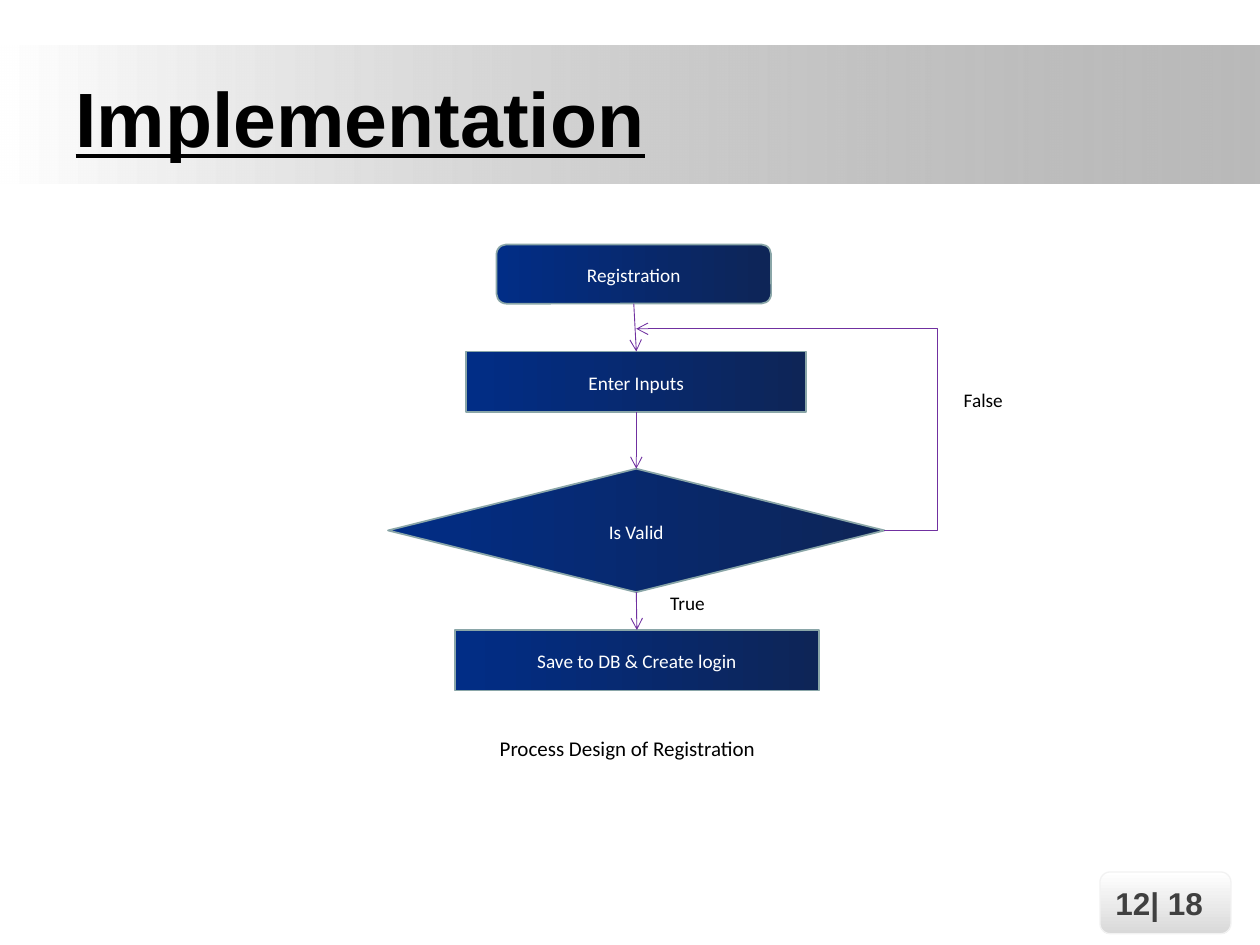
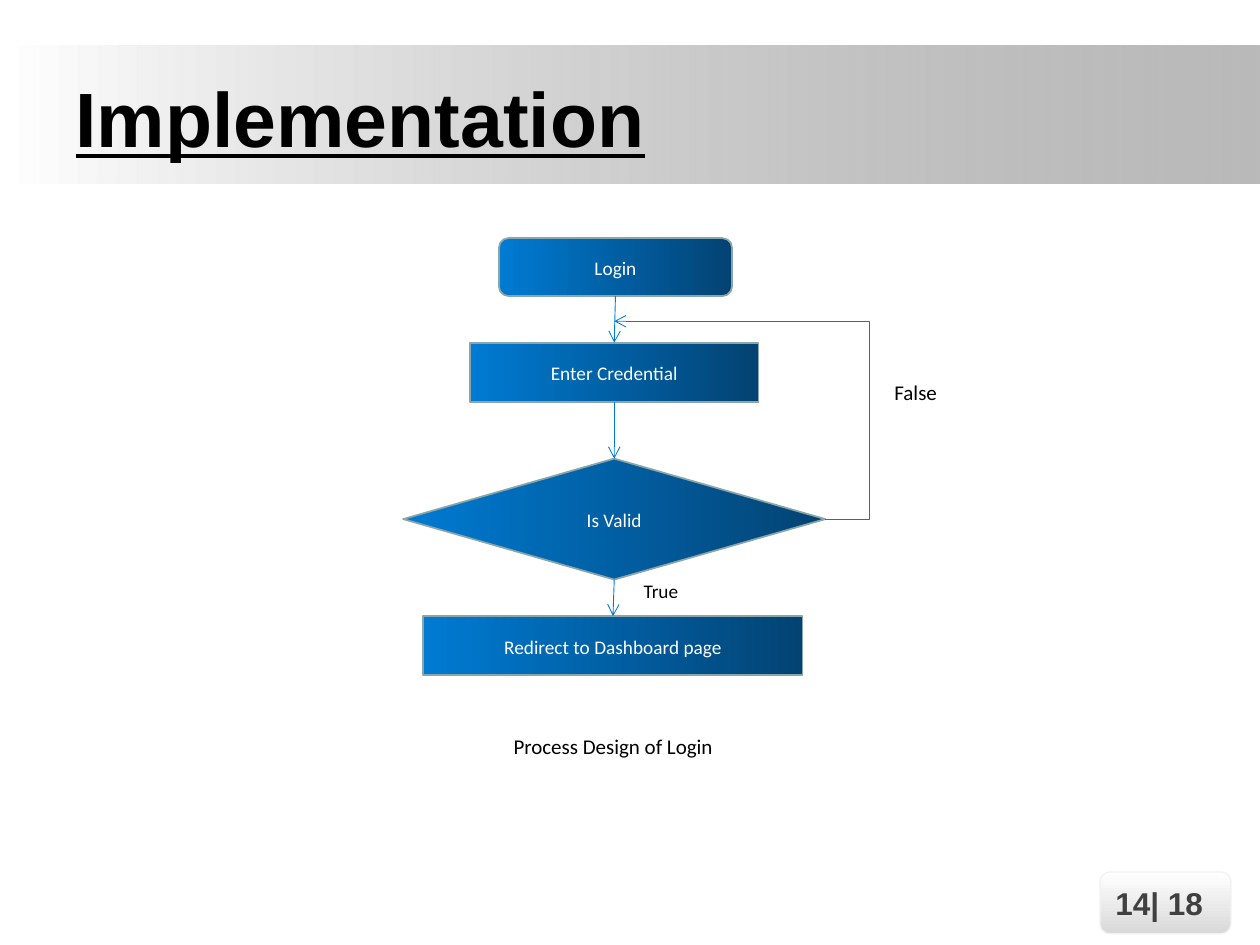
"""Builds two implementation slides, each with a flowchart of a validated form."""
from dataclasses import dataclass
from itertools import pairwise

from lxml.etree import SubElement
from pptx import Presentation
from pptx.dml.color import RGBColor
from pptx.enum.shapes import MSO_CONNECTOR, MSO_SHAPE
from pptx.enum.text import MSO_ANCHOR, MSO_AUTO_SIZE, PP_ALIGN
from pptx.oxml.ns import qn
from pptx.util import Inches, Pt

COLORS = {
    "white": "FFFFFF", "black": "000000", "band": "808080",
    "step_border": "8AA6A8",
    "badge_end": "D9D9D9", "badge_border": "F2F2F2", "badge_text": "404040",
    "navy_start": "012D86", "navy_end": "0E2557", "purple": "7030A0",
    "blue_start": "007BD3", "blue_end": "034373",
}
HEADING_FONT, FLOW_FONT = "Arial", "Calibri"
TOTAL_PAGES = 18
TOP, BOTTOM = 0, 2


@dataclass(frozen=True)
class Box:
    left: float
    top: float
    width: float
    height: float

    @property
    def inches(self) -> tuple:
        return tuple(Inches(v) for v in (self.left, self.top, self.width, self.height))


@dataclass(frozen=True)
class Step:
    text: str
    outline: MSO_SHAPE
    box: Box


@dataclass(frozen=True)
class Label:
    text: str
    box: Box
    size: int = 11


@dataclass(frozen=True)
class Flow:
    page: int
    start_color: str
    end_color: str
    arrow_color: str
    steps: tuple
    labels: tuple
    return_x: float
    return_y: float


FLOWS = (
    Flow(
        12, "navy_start", "navy_end", "purple",
        (
            Step("Registration", MSO_SHAPE.ROUNDED_RECTANGLE, Box(3.94, 1.94, 2.18, 0.47)),
            Step("Enter Inputs", MSO_SHAPE.RECTANGLE, Box(3.7, 2.79, 2.7, 0.48)),
            Step("Is Valid", MSO_SHAPE.DIAMOND, Box(3.08, 3.72, 3.94, 0.98)),
            Step("Save to DB & Create login", MSO_SHAPE.RECTANGLE, Box(3.61, 5, 2.89, 0.48)),
        ),
        (
            Label("True", Box(5.22, 4.63, 1.58, 0.37)),
            Label("False", Box(7.55, 3.02, 1.58, 0.37)),
            Label(" Process Design of Registration", Box(3.83, 5.77, 2.49, 0.34), 12),
        ),
        7.44, 2.61,
    ),
    Flow(
        14, "blue_start", "blue_end", "blue_start",
        (
            Step("Login", MSO_SHAPE.ROUNDED_RECTANGLE, Box(3.96, 1.89, 1.85, 0.46)),
            Step("Enter Credential", MSO_SHAPE.RECTANGLE, Box(3.73, 2.72, 2.29, 0.47)),
            Step("Is Valid", MSO_SHAPE.DIAMOND, Box(3.2, 3.64, 3.35, 0.96)),
            Step("Redirect to Dashboard page", MSO_SHAPE.RECTANGLE, Box(3.36, 4.89, 3.01, 0.47)),
        ),
        (
            Label("True", Box(5.01, 4.53, 1.34, 0.36)),
            Label("False", Box(7, 2.95, 1.34, 0.42), 12),
            Label(" Process Design of Login", Box(3.94, 5.76, 1.93, 0.3), 12),
        ),
        6.9, 2.55,
    ),
)


def rgb(name: str) -> RGBColor:
    return RGBColor.from_string(COLORS[name])


def write(shape, text: str, size: int, color: str, font: str = FLOW_FONT,
          align=PP_ALIGN.LEFT, anchor=MSO_ANCHOR.MIDDLE, bold: bool = False) -> None:
    frame = shape.text_frame
    frame.text = text
    frame.word_wrap = True
    frame.auto_size = MSO_AUTO_SIZE.NONE
    frame.vertical_anchor = anchor
    paragraph = frame.paragraphs[0]
    paragraph.alignment = align
    if font == FLOW_FONT:
        paragraph.line_spacing = 1.08
        paragraph.space_after = Pt(8)
    style = paragraph.runs[0].font
    style.name, style.size, style.bold = font, Pt(size), bold
    style.color.rgb = rgb(color)


def add_gradient_shape(slide, outline, box: Box, start: str, end: str, angle: int = 0,
                       border: str | None = None, border_width: float = 1):
    shape = slide.shapes.add_shape(outline, *box.inches)
    shape.shadow.inherit = False
    shape.fill.gradient()
    shape.fill.gradient_angle = angle
    for stop, color in zip(shape.fill.gradient_stops, (start, end)):
        stop.color.rgb = rgb(color)
    if border:
        shape.line.color.rgb = rgb(border)
        shape.line.width = Pt(border_width)
    else:
        shape.line.fill.background()
    return shape


def add_arrow(slide, kind, color: str, start: tuple = (0, 0), end: tuple = (0, 0)):
    arrow = slide.shapes.add_connector(kind, *(Inches(v) for v in (*start, *end)))
    arrow.line.color.rgb = rgb(color)
    arrow.line.width = Pt(0.5)
    SubElement(arrow.line._get_or_add_ln(), qn("a:tailEnd"), type="arrow")
    SubElement(arrow._element.spPr, qn("a:effectLst"))
    return arrow


def add_band_to_layout(slide) -> None:
    band = add_gradient_shape(slide, MSO_SHAPE.RECTANGLE, Box(0, 0.36, 10, 1.1), "white", "band")
    gray = band._element.spPr.findall(".//" + qn("a:srgbClr"))[-1]
    SubElement(gray, qn("a:alpha"), val="54000")
    slide.slide_layout.shapes._spTree.insert(2, band._element)


def add_title(slide) -> None:
    title = slide.shapes.title
    title.left, title.top, title.width, title.height = Box(0.5, 0.3, 9, 1.25).inches
    write(title, "Implementation", 44, "black", HEADING_FONT, bold=True)
    title.text_frame.paragraphs[0].runs[0].font.underline = True


def add_page_badge(slide, page: int) -> None:
    badge = add_gradient_shape(slide, MSO_SHAPE.FLOWCHART_ALTERNATE_PROCESS,
                               Box(8.73, 6.92, 1.04, 0.49), "white", "badge_end",
                               270, "badge_border", 0.75)
    write(badge, f"{page}| {TOTAL_PAGES}", 18, "badge_text", HEADING_FONT, bold=True)


def add_return_arrow(slide, flow: Flow) -> None:
    decision = flow.steps[2].box
    right = decision.left + decision.width
    axis = decision.left + decision.width / 2
    arrow = add_arrow(slide, MSO_CONNECTOR.ELBOW, flow.arrow_color,
                      (right, decision.top + decision.height / 2), (axis, flow.return_y))
    bend = round((right - flow.return_x) / (right - axis) * 100000)
    adjustments = arrow._element.spPr.find(qn("a:prstGeom")).get_or_add_avLst()
    SubElement(adjustments, qn("a:gd"), name="adj1", fmla=f"val {bend}")


def add_flow(slide, flow: Flow) -> None:
    steps = []
    for step in flow.steps:
        shape = add_gradient_shape(slide, step.outline, step.box, flow.start_color,
                                   flow.end_color, border="step_border")
        write(shape, step.text, 11, "white", align=PP_ALIGN.CENTER)
        steps.append(shape)
    for upper, lower in pairwise(steps):
        arrow = add_arrow(slide, MSO_CONNECTOR.STRAIGHT, flow.arrow_color)
        arrow.begin_connect(upper, BOTTOM)
        arrow.end_connect(lower, TOP)
    add_return_arrow(slide, flow)
    for label in flow.labels:
        caption = slide.shapes.add_textbox(*label.box.inches)
        write(caption, label.text, label.size, "black", anchor=MSO_ANCHOR.TOP)


def main() -> None:
    deck = Presentation()
    deck.slide_width, deck.slide_height = Inches(10), Inches(7.5)
    title_only = deck.slide_layouts[5]
    for flow in FLOWS:
        slide = deck.slides.add_slide(title_only)
        if flow is FLOWS[0]:
            add_band_to_layout(slide)
        add_title(slide)
        add_flow(slide, flow)
        add_page_badge(slide, flow.page)
    deck.save("out.pptx")


if __name__ == "__main__":
    main()
